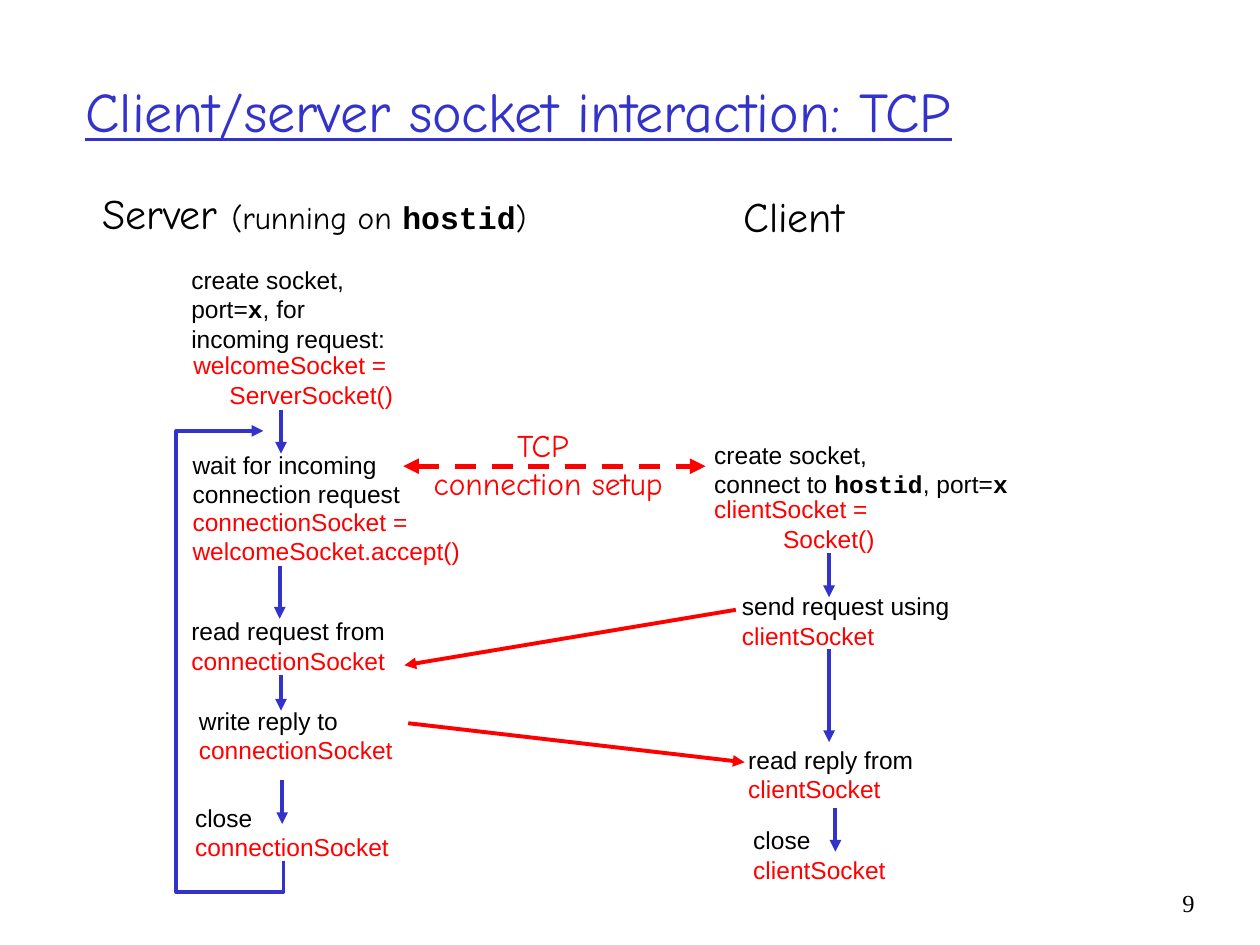
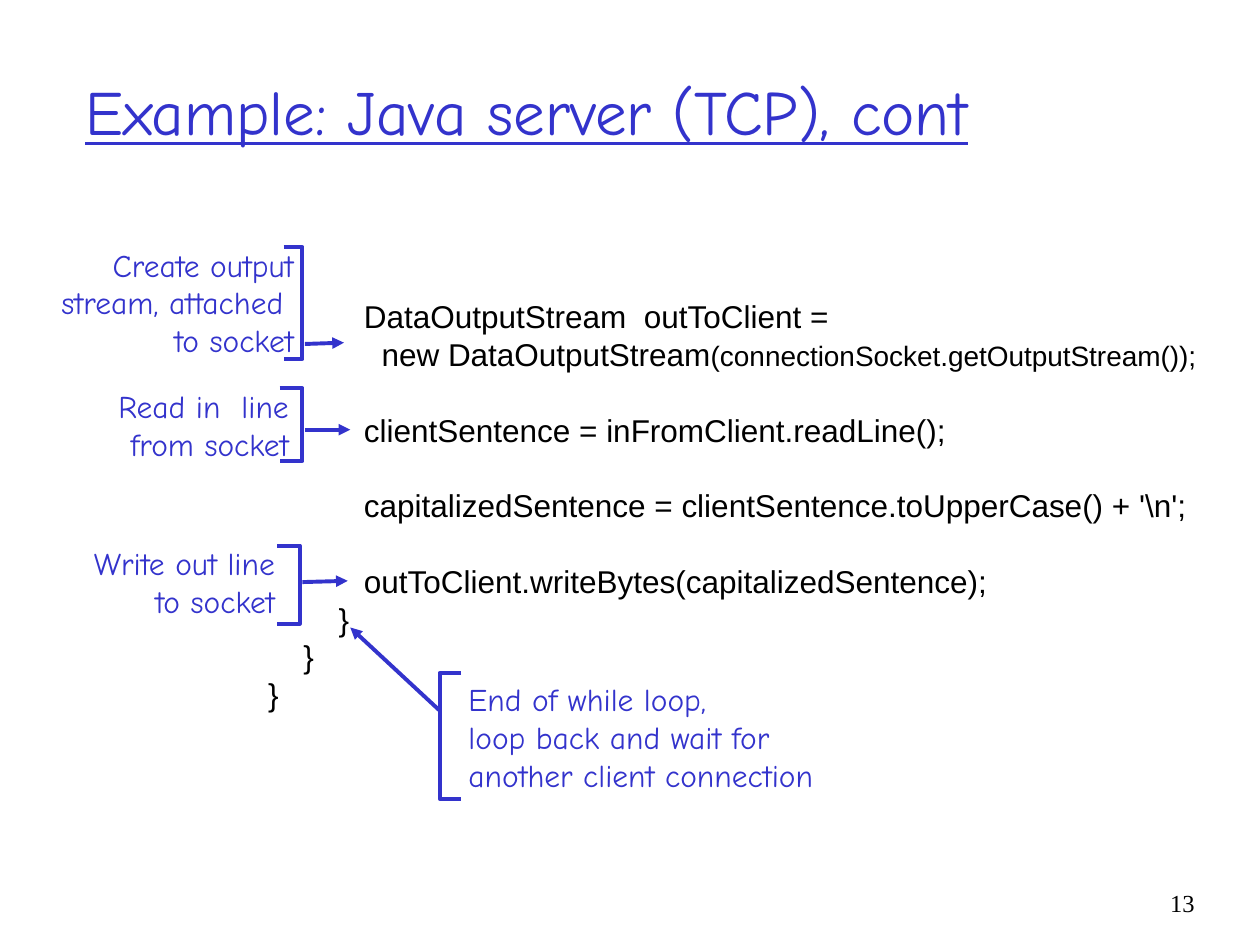
from dataclasses import dataclass
from lxml.etree import SubElement as Sub
from pptx import Presentation
from pptx.dml.color import RGBColor as Rgb
from pptx.enum.dml import MSO_LINE as Dash
from pptx.enum.shapes import MSO_CONNECTOR as Link
from pptx.enum.text import MSO_ANCHOR as Anchor, MSO_AUTO_SIZE as Fit, PP_ALIGN as Align
from pptx.oxml.ns import qn
from pptx.util import Inches, Pt


@dataclass(frozen=True)
class Theme:
    blue: Rgb = Rgb(0x33, 0x33, 0xCC)
    red: Rgb = Rgb(0xFF, 0, 0)
    black: Rgb = Rgb(0, 0, 0)
    sans: str = "Arial"
    comic: str = "Comic Neue"
    mono: str = "Courier New"
    serif: str = "Times New Roman"
    small: int = 14
    code: int = 16
    note: int = 18
    head: int = 24
    lead: float = 1.2
    line: float = 2.25
    thick: float = 3


T = Theme()
STEP = dict(name=T.sans, size=T.small, color=T.black)
CALL = STEP | dict(color=T.red)
NOTE = dict(name=T.comic, size=T.note, color=T.blue)
HEAD = dict(name=T.comic, size=T.head, color=T.black)
CODE = dict(name=T.sans, size=T.note, color=T.black)
PAGE = dict(name=T.serif, size=T.small, color=T.black)
MONO = dict(name=T.mono, bold=True)


def style(font, form):
    for key, value in form.items():
        if key == "color":
            font.color.rgb = value
        else:
            setattr(font, key, Pt(value) if key == "size" else value)


def fill_line(para, runs, form, align):
    para.alignment = align
    para.line_spacing = Pt(form["size"] * T.lead)
    for text, extra in runs:
        run = para.add_run()
        run.text = text
        style(run.font, form | extra)


def text_box(slide, spot, lines, form, align=Align.LEFT, wrap=False, anchor=Anchor.MIDDLE):
    frame = slide.shapes.add_textbox(*map(Inches, spot)).text_frame
    frame.word_wrap = wrap
    frame.auto_size = Fit.NONE if wrap else Fit.SHAPE_TO_FIT_TEXT
    frame.vertical_anchor = anchor
    for i, line in enumerate(lines):
        para = frame.add_paragraph() if i else frame.paragraphs[0]
        runs = [(line, {})] if isinstance(line, str) else line
        fill_line(para, runs, form, align)
    return frame


def step(slide, x, y, wide, lines, form=STEP, align=Align.LEFT):
    text_box(slide, (x, y, wide, 0.1 + 0.235 * len(lines)), lines, form, align)


def note(slide, x, y, wide, lines, align=Align.RIGHT, hue=T.blue):
    spot = (x, y, wide, 0.1 + 0.3 * len(lines))
    text_box(slide, spot, lines, NOTE | dict(color=hue), align)


def stroke(shape, hue, width, tips):
    shape.line.color.rgb = hue
    shape.line.width = Pt(width)
    for tip in tips:
        Sub(shape._element.spPr.find(qn("a:ln")), qn("a:" + tip), type="triangle")


def arrow(slide, x1, y1, x2, y2, hue=T.blue, width=T.line, dash=None, tips=("tailEnd",)):
    link = slide.shapes.add_connector(Link.STRAIGHT, *map(Inches, (x1, y1, x2, y2)))
    if dash:
        link.line.dash_style = dash
    stroke(link, hue, width, tips)
    Sub(link._element.spPr, qn("a:effectLst"))


def bent(slide, points, tips=()):
    spots = [tuple(map(Inches, point)) for point in points]
    build = slide.shapes.build_freeform(*spots[0])
    build.add_line_segments(spots[1:], close=False)
    shape = build.convert_to_shape()
    shape.shadow.inherit = False
    shape.fill.background()
    stroke(shape, T.blue, T.line, tips)


def brace(slide, edge, spine, top, base):
    bent(slide, [(edge, top), (spine, top), (spine, base), (edge, base)])


def new_slide(deck, title, size, page):
    slide = deck.slides.add_slide(deck.slide_layouts[6])
    form = dict(name=T.comic, size=size, color=T.blue, underline=True)
    text_box(slide, (0.58, 0.25, 8.5, 1.25), [title], form, wrap=True)
    text_box(slide, (9.08, 7, 0.5, 0.5), [page], PAGE, Align.RIGHT, True, Anchor.TOP)
    return slide


def socket_slide(deck):
    slide = new_slide(deck, "Client/server socket interaction: TCP", 32, "9")
    small = dict(size=T.note)
    server = [("Server ", {}), ("(running on ", small), ("hostid", small | MONO), (")", small)]
    text_box(slide, (0.71, 1.44, 3.57, 0.5), [server], HEAD, Align.CENTER)
    text_box(slide, (5.8, 1.46, 1, 0.5), ["Client"], HEAD, Align.CENTER)

    port = [("port=", {}), ("x", MONO), (", for", {})]
    host = [("connect to ", {}), ("hostid", MONO), (", port=", {}), ("x", MONO)]
    step(slide, 1.42, 2.05, 1.8, ["create socket,", port, "incoming request:"])
    step(slide, 1.4, 2.73, 1.82, ["welcomeSocket = ", "ServerSocket()"], CALL, Align.RIGHT)
    step(slide, 1.43, 3.52, 1.9, ["wait for incoming", "connection request"])
    step(slide, 1.43, 3.97, 2.4, ["connectionSocket =", "welcomeSocket.accept()"], CALL)
    step(slide, 5.57, 3.44, 2.6, ["create socket,", host])
    step(slide, 5.5, 3.87, 1.54, ["clientSocket = ", "Socket()"], CALL, Align.RIGHT)

    for x, y, wide, act, name in (
        (1.42, 4.84, 1.8, "read request from", "connectionSocket"),
        (1.48, 5.55, 1.8, "write reply to", "connectionSocket"),
        (1.45, 6.32, 1.8, "close", "connectionSocket"),
        (5.79, 4.64, 1.9, "send request using", "clientSocket"),
        (5.84, 5.86, 1.6, "read reply from", "clientSocket"),
        (5.88, 6.5, 1.3, "close", "clientSocket"),
    ):
        step(slide, x, y, wide, [act, [(name, dict(color=T.red))]])

    for x, top, base in (
        (2.23, 3.25, 3.6), (2.22, 4.49, 4.91), (2.23, 5.36, 5.64), (2.24, 6.19, 6.54),
        (6.58, 4.39, 4.74), (6.58, 5.15, 5.89), (6.63, 6.41, 6.76),
    ):
        arrow(slide, x, top, x, base)
    loop = [(2.25, 6.83), (2.25, 7.08), (1.4, 7.08), (1.4, 3.42), (2.09, 3.42)]
    bent(slide, loop, ["tailEnd"])

    arrow(slide, 5.84, 4.84, 3.21, 5.28, T.red)
    arrow(slide, 3.24, 5.74, 5.91, 6.05, T.red)
    arrow(slide, 3.2, 3.7, 5.6, 3.7, T.red, T.thick, Dash.DASH, ("headEnd", "tailEnd"))
    note(slide, 3.34, 3.33, 2.02, ["TCP ", "connection setup"], Align.CENTER, T.red)


def code_block(slide, rows):
    lines = [line for line, _, _ in rows]
    frame = text_box(slide, (2.03, 2.31, 7.9, 3.4), lines, CODE, wrap=True, anchor=Anchor.TOP)
    for para, (_, inset, gap) in zip(frame.paragraphs, rows):
        para._p.get_or_add_pPr().set("marL", str(Inches(inset)))
        para.space_before = Pt(gap * T.note * T.lead)


def java_slide(deck):
    slide = new_slide(deck, "Example: Java server (TCP), cont", 36, "13")
    stream = [("new DataOutputStream", {}),
              ("(connectionSocket.getOutputStream());", dict(size=T.code))]
    code_block(slide, [
        ("DataOutputStream  outToClient =", 0.76, 0),
        (stream, 0.9, 0),
        ("clientSentence = inFromClient.readLine();", 0.76, 1),
        ("capitalizedSentence = clientSentence.toUpperCase() + '\\n';", 0.76, 1),
        ("outToClient.writeBytes(capitalizedSentence);", 0.76, 1),
        ("}", 0.56, 0),
        ("}", 0.28, 0),
        ("}", 0, 0),
    ])

    note(slide, 0.14, 1.9, 2.29, ["Create output", "stream, attached ", "to socket"])
    note(slide, 0.84, 3.02, 1.55, ["Read in  line", "from socket"])
    note(slide, 0.64, 4.27, 1.64, ["Write out line", "to socket"])
    ending = ["End of while loop,", "loop back and wait for", "another client connection"]
    note(slide, 3.62, 5.35, 2.94, ending, Align.LEFT)

    for edge, spine, top, base in (
        (2.25, 2.4, 1.96, 2.85), (2.22, 2.4, 3.08, 3.66),
        (2.2, 2.38, 4.33, 4.95), (3.66, 3.49, 5.34, 6.34),
    ):
        brace(slide, edge, spine, top, base)
    for ends in (
        (2.42, 2.73, 2.73, 2.72), (2.42, 3.41, 2.78, 3.41),
        (2.4, 4.62, 2.76, 4.61), (3.49, 5.64, 2.78, 4.98),
    ):
        arrow(slide, *ends)


def main():
    deck = Presentation()
    deck.slide_width, deck.slide_height = Inches(10), Inches(7.5)
    socket_slide(deck)
    java_slide(deck)
    deck.save("out.pptx")


if __name__ == "__main__":
    main()
